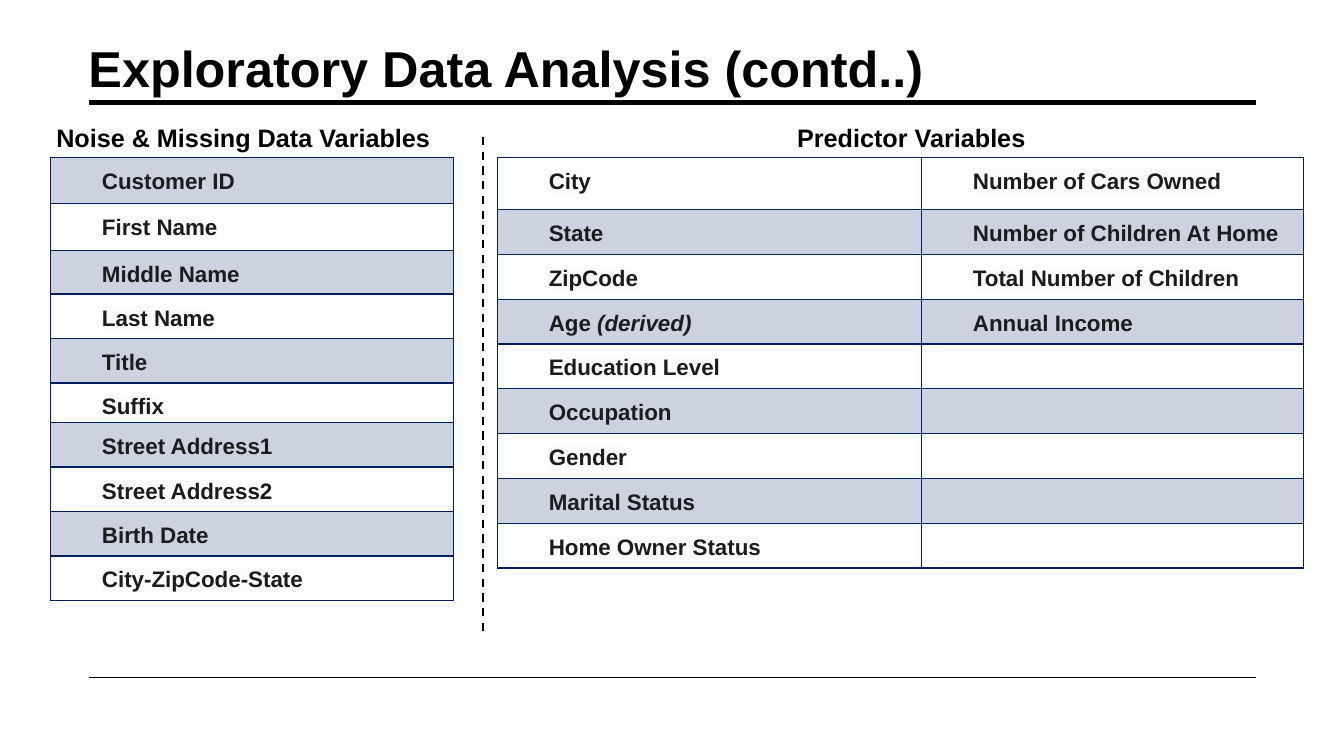
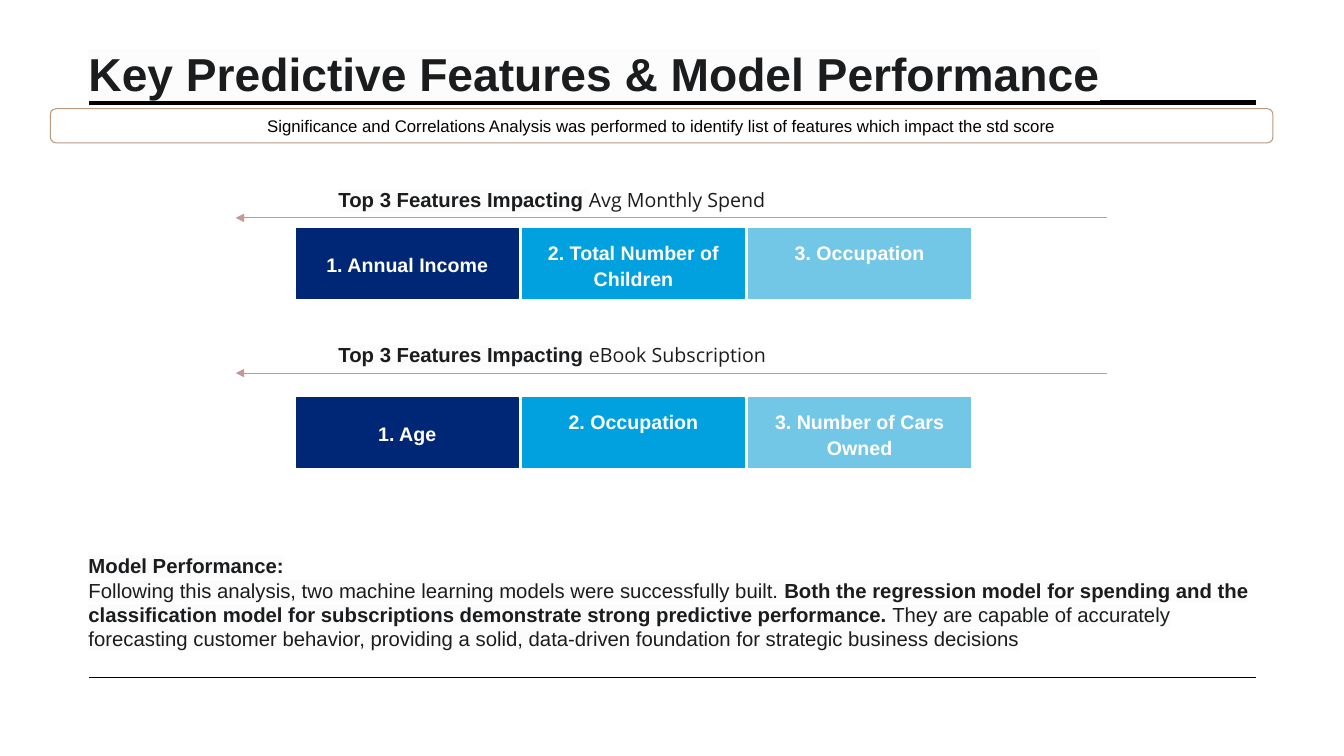
import pptx
import pptx.util
import pptx.dml.color
import pptx.enum.dml
import pptx.enum.shapes
import pptx.enum.text
import pptx.oxml
import pptx.oxml.ns

Cm, Pt = pptx.util.Cm, pptx.util.Pt
ALIGN = pptx.enum.text.PP_ALIGN
ANCHOR = pptx.enum.text.MSO_ANCHOR
SHAPE = pptx.enum.shapes.MSO_SHAPE

COLORS = {
    "black": "000000", "white": "FFFFFF", "ink": "1A1C1E", "paper": "FCFCFC",
    "band": "CCD2DF", "border": "002060", "tan": "BA997F", "arrow": "C69796",
    "navy": "002776", "blue": "00A1DE", "sky": "72C7E7",
}

# Content
TITLES = [
    ("Exploratory Data Analysis (contd..)", 0.84, {"size": 36, "color": "black"}),
    ("Key Predictive Features & Model Performance", 0.91,
     {"size": 33, "color": "ink", "highlight": "paper"}),
]

TABLES = [
    {
        "heading": "Noise & Missing Data Variables", "heading_left": 1.17,
        "left": 1.27, "columns": [10.16], "first_band": 0,
        "heights": [1.17, 1.19, 1.09, 1.12, 1.12, 0.99] + [1.12] * 4,
        "rows": [["Customer ID"], ["First Name"], ["Middle Name"], ["Last Name"],
                 ["Title"], ["Suffix"], ["Street Address1"], ["Street Address2"],
                 ["Birth Date"], ["City-ZipCode-State"]],
    },
    {
        "heading": "Predictor Variables", "heading_left": 19.84,
        "left": 12.53, "columns": [10.69, 9.63], "first_band": 1,
        "heights": [1.32] + [1.13] * 8,
        "rows": [["City", "Number of Cars Owned"],
                 ["State", "Number of Children At Home"],
                 ["ZipCode", "Total Number of Children"],
                 [[("Age ", {}), ("(derived)", {"italic": True})], "Annual Income"],
                 ["Education Level", ""], ["Occupation", ""], ["Gender", ""],
                 ["Marital Status", ""], ["Home Owner Status", ""]],
    },
]

SUMMARY = ("Significance and Correlations Analysis was performed to identify "
           "list of features which impact the std score")

# Target, label top, arrow height, boxes top, ranked features
RANKINGS = [
    ("Avg Monthly Spend", 4.6, 5.49, 5.77,
     ["Annual Income", "Total Number of Children", "Occupation"]),
    ("eBook Subscription", 8.51, 9.4, 10.03,
     ["Age", "Occupation", "Number of Cars Owned"]),
]
RANK_COLORS = ["navy", "blue", "sky"]

PERFORMANCE = [
    [("Model Performance:", {"bold": True})],
    [("Following this analysis, two machine learning models were successfully built. ", {}),
     ("Both the regression model for spending and the classification model for "
      "subscriptions demonstrate strong predictive performance.", {"bold": True}),
     (" They are capable of accurately forecasting customer behavior, providing a solid, "
      "data-driven foundation for strategic business decisions", {})],
]


def rgb(name):
    return pptx.dml.color.RGBColor.from_string(COLORS[name])


def make_element(tag, **attributes):
    element = pptx.oxml.parse_xml(f"<a:{tag} {pptx.oxml.ns.nsdecls('a')}/>")
    for key, value in attributes.items():
        element.set(key, value)
    return element


def solid_line(tag, color, width):
    """Return a line element, as used for cell borders."""
    line = make_element(tag, w=str(Pt(width)))
    fill = make_element("solidFill")
    fill.append(make_element("srgbClr", val=COLORS[color]))
    line.append(fill)
    return line


def write(frame, paragraphs, align=ALIGN.LEFT, spacing=None, **base):
    """Fill a frame from a string, a list of runs, or a list of run lists."""
    if isinstance(paragraphs, str):
        paragraphs = [(paragraphs, {})]
    if isinstance(paragraphs[0], tuple):
        paragraphs = [paragraphs]
    frame.word_wrap = True
    for index, runs in enumerate(paragraphs):
        paragraph = frame.add_paragraph() if index else frame.paragraphs[0]
        paragraph.alignment = align
        if spacing:
            paragraph.line_spacing = spacing
        for text, changes in runs:
            style = {"font": "Arial", "color": "black", "bold": False,
                     "italic": False, "highlight": None, **base, **changes}
            run = paragraph.add_run()
            run.text = text
            font = run.font
            font.size = Pt(style["size"])
            font.bold, font.italic = style["bold"], style["italic"]
            font.color.rgb = rgb(style["color"])
            if style["highlight"]:
                highlight = make_element("highlight")
                highlight.append(make_element("srgbClr", val=COLORS[style["highlight"]]))
                font.fill._xPr.append(highlight)
            font.name = style["font"]


def add_text(slide, box, text, anchor=ANCHOR.TOP, **style):
    frame = slide.shapes.add_textbox(*map(Cm, box)).text_frame
    frame.vertical_anchor = anchor
    write(frame, text, **style)


def add_box(slide, kind, box, text, fill, line, anchor, inset=0.25, **style):
    shape = slide.shapes.add_shape(kind, *map(Cm, box))
    shape.shadow.inherit = False
    if fill:
        shape.fill.solid()
        shape.fill.fore_color.rgb = rgb(fill)
    else:
        shape.fill.background()
    shape.line.color.rgb = rgb(line)
    shape.line.width = Pt(0.75)
    frame = shape.text_frame
    frame.vertical_anchor = anchor
    frame.margin_top = frame.margin_bottom = Cm(inset)
    write(frame, text, align=ALIGN.CENTER, **style)


def add_line(slide, start, end, color, width):
    connector = slide.shapes.add_connector(
        pptx.enum.shapes.MSO_CONNECTOR.STRAIGHT, *map(Cm, start + end))
    connector.line.color.rgb = rgb(color)
    connector.line.width = Pt(width)
    connector._element.spPr.append(make_element("effectLst"))
    return connector.line


def add_table(slide, data):
    """Draw a heading and its banded, bordered table."""
    add_text(slide, (data["heading_left"], 2.95, 10.97, 1.02), data["heading"],
             size=18, bold=True)
    rows, columns, heights = data["rows"], data["columns"], data["heights"]
    table = slide.shapes.add_table(
        len(rows), len(columns), Cm(data["left"]), Cm(3.96),
        Cm(sum(columns)), Cm(sum(heights))).table
    table.first_row = table.horz_banding = False
    for column, width in zip(table.columns, columns):
        column.width = Cm(width)
    for row_index, (row, height) in enumerate(zip(rows, heights)):
        table.rows[row_index].height = Cm(height)
        banded = row_index % 2 == data["first_band"]
        for column_index, text in enumerate(row):
            cell = table.cell(row_index, column_index)
            cell.margin_left = Cm(1.3)
            cell.margin_right = cell.margin_top = Cm(0.03)
            cell.margin_bottom = 0
            cell.fill.solid()
            cell.fill.fore_color.rgb = rgb("band" if banded else "white")
            write(cell.text_frame, text, size=16, bold=True, color="ink", spacing=1.43,
                  highlight="band" if banded else "paper")
            properties = cell._tc.get_or_add_tcPr()
            for position, side in enumerate(("lnL", "lnR", "lnT", "lnB")):
                properties.insert(position, solid_line(side, "border", 1))


def add_slide(presentation, title, top, style):
    """Start a slide with the shared rules and title."""
    slide = presentation.slides.add_slide(presentation.slide_layouts[6])
    for height, width in ((2.59, 3.5), (17.07, 1)):
        add_line(slide, (2.24, height), (31.65, height), "black", width)
    add_text(slide, (1.98, top, 27.94, 1.75), title, anchor=ANCHOR.BOTTOM,
             bold=True, **style)
    return slide


def build_variables(slide):
    for data in TABLES:
        add_table(slide, data)
    divider = add_line(slide, (12.17, 3.45), (12.17, 15.95), "black", 1.5)
    divider.dash_style = pptx.enum.dml.MSO_LINE.DASH


def build_features(slide):
    add_box(slide, SHAPE.ROUNDED_RECTANGLE, (1.27, 2.74, 30.81, 0.86), SUMMARY,
            None, "tan", ANCHOR.MIDDLE, inset=0.13, size=12)

    # Ranked features
    for target, label_top, arrow_top, boxes_top, features in RANKINGS:
        label = [("Top 3 Features Impacting ", {"size": 14.5, "bold": True,
                                                "highlight": "paper"}),
                 (target, {"size": 14, "font": "Open Sans"})]
        add_text(slide, (8.28, label_top, 16, 1.02), label, color="ink")
        arrow = add_line(slide, (27.89, arrow_top), (5.94, arrow_top), "arrow", 0.75)
        arrow._get_or_add_ln().append(make_element("tailEnd", type="triangle"))
        for index, (feature, color) in enumerate(zip(features, RANK_COLORS)):
            add_box(slide, SHAPE.RECTANGLE, (7.47 + 5.7 * index, boxes_top, 5.59, 1.75),
                    f"{index + 1}. {feature}", color, color,
                    ANCHOR.TOP if index else ANCHOR.MIDDLE,
                    size=14, bold=True, color="white", spacing=1.1)

    # Model performance
    add_text(slide, (1.98, 13.82, 30.1, 2.74), PERFORMANCE, size=14.5, color="ink",
             highlight="paper")


def main():
    presentation = pptx.Presentation()
    presentation.slide_width, presentation.slide_height = Cm(33.87), Cm(19.05)
    for title, build in zip(TITLES, (build_variables, build_features)):
        build(add_slide(presentation, *title))
    presentation.save("out.pptx")


if __name__ == "__main__":
    main()
